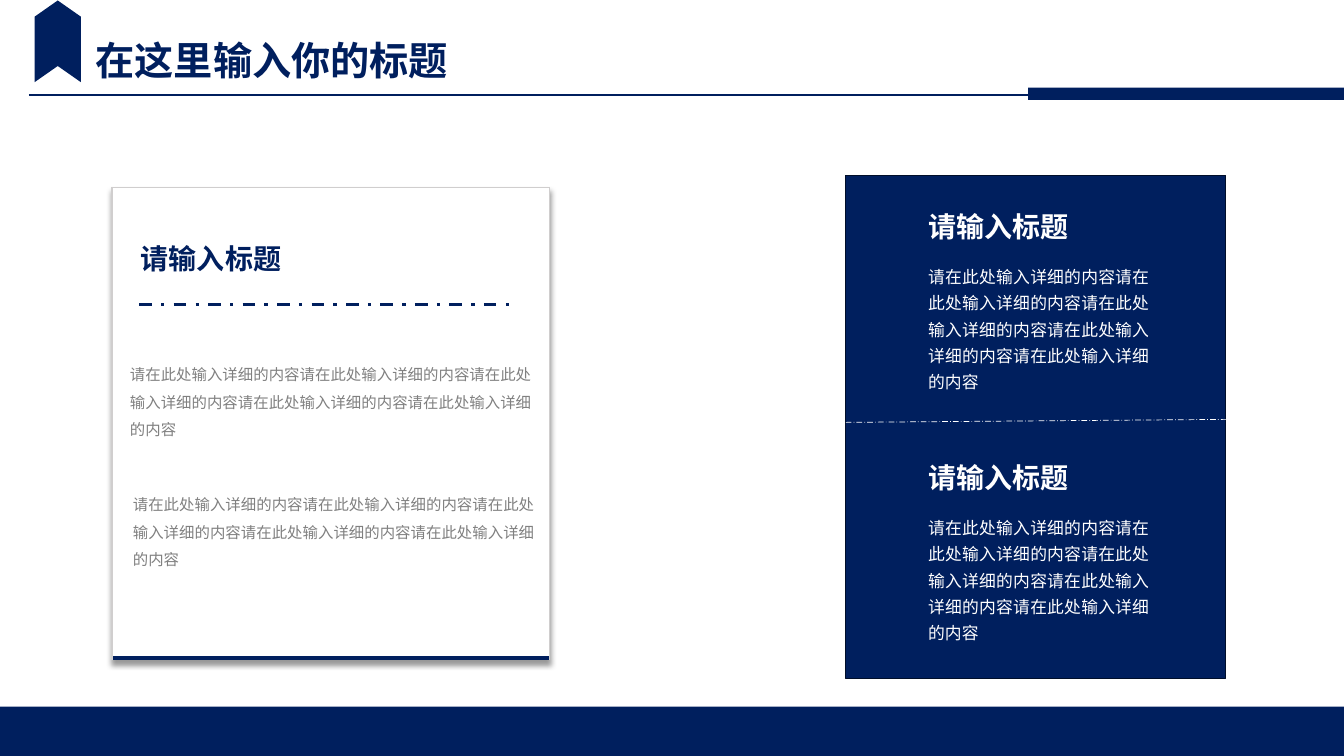
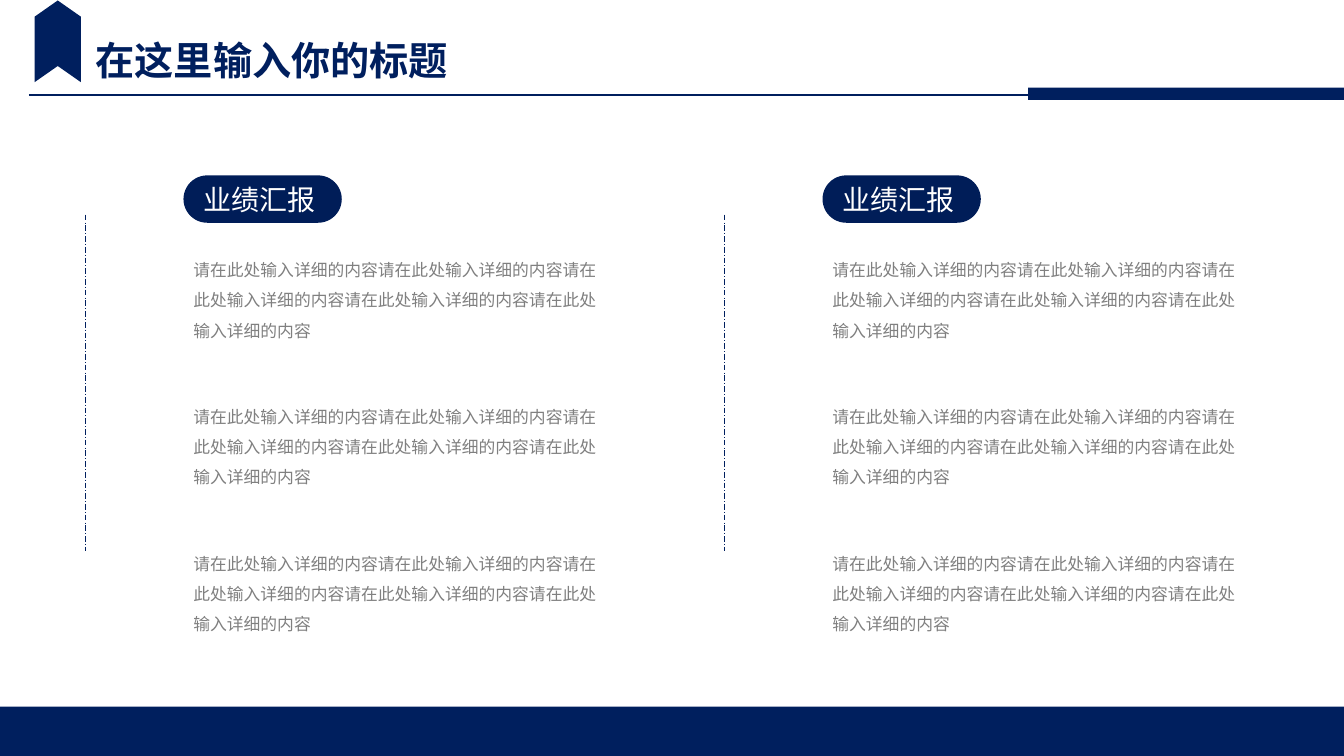
from lxml import etree
from pptx import Presentation
from pptx.dml.color import RGBColor
from pptx.enum.dml import MSO_LINE
from pptx.enum.shapes import MSO_CONNECTOR, MSO_SHAPE
from pptx.enum.text import MSO_ANCHOR, PP_ALIGN
from pptx.oxml import parse_xml
from pptx.oxml.ns import nsdecls, qn
from pptx.util import Inches, Pt

RECT, PILL, CHEVRON = MSO_SHAPE.RECTANGLE, MSO_SHAPE.ROUNDED_RECTANGLE, MSO_SHAPE.CHEVRON
STRAIGHT = MSO_CONNECTOR.STRAIGHT
DASH_DOT, LONG_DASH_DOT = MSO_LINE.DASH_DOT, MSO_LINE.LONG_DASH_DOT
MIDDLE = MSO_ANCHOR.MIDDLE
LEFT, JUSTIFY = PP_ALIGN.LEFT, PP_ALIGN.JUSTIFY

FONT = "Noto Sans CJK SC"
COLORS = {
    "navy": "001F5E",
    "pill": "001D58",
    "edge": "000E29",
    "white": "FFFFFF",
    "gray": "808080",
    "border": "D0CECE",
}
PAGE_TITLE = "在这里输入你的标题"
HEADING = "请输入标题"
LABEL = "业绩汇报"
BODY = "请在此处输入详细的内容" * 5

deck = Presentation()
deck.slide_width, deck.slide_height = Inches(13.3333), Inches(7.5)
COL, ROW = deck.slide_width / 100, deck.slide_height / 100


def grid(x, y, w, h):
    return int(x * COL), int(y * ROW), int(w * COL), int(h * ROW)


def write(shape, text, size, color, bold=False, spacing=None, align=LEFT, wrap=True):
    frame = shape.text_frame
    frame.text = text
    frame.word_wrap = wrap
    paragraph = frame.paragraphs[0]
    paragraph.alignment = align
    paragraph.line_spacing = spacing
    run = paragraph.runs[0]
    run.font.size = Pt(size)
    run.font.bold = bold
    run.font.color.rgb = RGBColor.from_string(COLORS[color])
    run.font.name = FONT
    etree.SubElement(run.font._element, qn("a:ea"), typeface=FONT)


cards, report = [deck.slides.add_slide(deck.slide_layouts[6]) for _ in range(2)]

PANEL_LEFT, PANEL_TOP = 62.93, 23.2
REPORT_LEFT, REPORT_PITCH, REPORT_COUNT = 13.65, 47.55, 2
column_shifts = [REPORT_PITCH * i for i in range(REPORT_COUNT)]

blocks = []
lines = []
for slide in (cards, report):
    blocks += [
        (slide, RECT, (0, 93.47, 100, 6.53), "navy"),
        (slide, RECT, (76.5, 11.6, 23.5, 1.6), "navy"),
        (slide, CHEVRON, (1.26, 2.4, 6.08, 6.13), "navy"),
    ]
    lines.append((slide, (2.15, 12.53), (86.4, 12.53), "navy", 1.5, None))
blocks.append((cards, RECT, (PANEL_LEFT, PANEL_TOP, 28.28, 66.53), "navy"))
lines += [
    (cards, (PANEL_LEFT, 55.87), (91.35, 55.47), "white", 0.5, LONG_DASH_DOT),
    (cards, (10.35, 40.27), (38.25, 40.27), "navy", 2.25, DASH_DOT),
]
for shift in column_shifts:
    blocks.append((report, PILL, (REPORT_LEFT + shift, 23.2, 11.78, 6.27), "pill"))
    lines.append((report, (6.38 + shift, 28.4), (6.38 + shift, 72.93), "navy", 0.5, LONG_DASH_DOT))

for slide, outline, area, color in blocks:
    block = slide.shapes.add_shape(outline, *grid(*area))
    block.shadow.inherit = False
    block.fill.solid()
    block.fill.fore_color.rgb = RGBColor.from_string(COLORS[color])
    block.line.fill.background()
    if outline == CHEVRON:
        block.adjustments[0] = 0.35
        block.rotation = 270
    elif outline == PILL:
        block.adjustments[0] = 0.5
        block.text_frame.margin_left = int(COL)
        block.text_frame.vertical_anchor = MIDDLE
        write(block, LABEL, 20, "white", wrap=False)
    elif area[0] == PANEL_LEFT:
        block.line.color.rgb = RGBColor.from_string(COLORS["edge"])
        block.line.width = Pt(1)

card = cards.shapes.add_table(1, 1, *grid(8.33, 24.8, 32.55, 62.27)).table
card.first_row = card.horz_banding = False
card._tbl.tblPr.insert(0, parse_xml(
    f'<a:effectLst {nsdecls("a")}><a:outerShdw blurRad="50800" dist="38100" dir="5400000" algn="t">'
    '<a:prstClr val="black"><a:alpha val="40000"/></a:prstClr></a:outerShdw></a:effectLst>'))
card_cell = card.cell(0, 0)
card_cell.fill.solid()
card_cell.fill.fore_color.rgb = RGBColor.from_string(COLORS["white"])
card_borders = [("L", "border", 1), ("R", "border", 1), ("T", "border", 1), ("B", "navy", 3)]
for place, (side, color, width) in enumerate(card_borders):
    card_cell._tc.tcPr.insert(place, parse_xml(
        f'<a:ln{side} {nsdecls("a")} w="{Pt(width)}"><a:solidFill>'
        f'<a:srgbClr val="{COLORS[color]}"/></a:solidFill></a:ln{side}>'))

for slide, start, end, color, width, dash in lines:
    rule = slide.shapes.add_connector(STRAIGHT, *grid(*start, *end))
    rule.line.color.rgb = RGBColor.from_string(COLORS[color])
    rule.line.width = Pt(width)
    rule.line.dash_style = dash
    etree.SubElement(rule._element.spPr, qn("a:effectLst"))

for slide in (cards, report):
    page_title = slide.shapes.add_textbox(*grid(6.38, 4.13, 28.05, 7.6))
    write(page_title, PAGE_TITLE, 28, "navy", bold=True, wrap=False)

for shift in (0, 33.2):
    panel_heading = cards.shapes.add_textbox(*grid(68.33, 27.07 + shift, 15.83, 5.87))
    write(panel_heading, HEADING, 20, "white", bold=True)
    panel_body = cards.shapes.add_textbox(*grid(68.33, 33.87 + shift, 17.93, 18.53))
    write(panel_body, BODY, 12, "white", spacing=1.3, align=JUSTIFY)

card_heading = cards.shapes.add_textbox(*grid(9.75, 31.33, 21.75, 6.13))
write(card_heading, HEADING, 20, "navy", bold=True)
for left, top in ((8.93, 46.4), (9.15, 63.6)):
    card_body = cards.shapes.add_textbox(*grid(left, top, 31.58, 12.67))
    write(card_body, BODY, 11, "gray", spacing=1.5)

for shift in column_shifts:
    for row in range(3):
        report_body = report.shapes.add_textbox(*grid(REPORT_LEFT + shift, 32.4 + 19.4 * row, 32.48, 13.07))
        write(report_body, BODY, 12, "gray", spacing=1.5)

deck.save("out.pptx")
